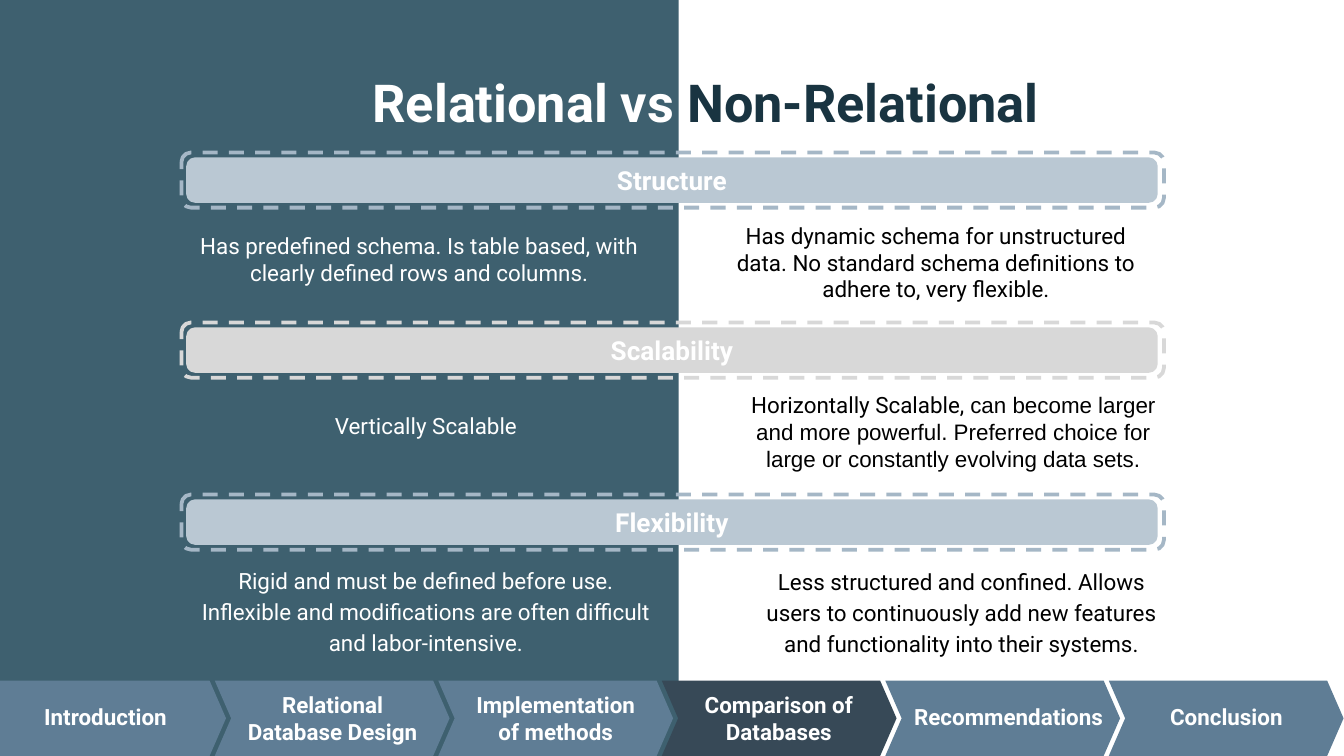
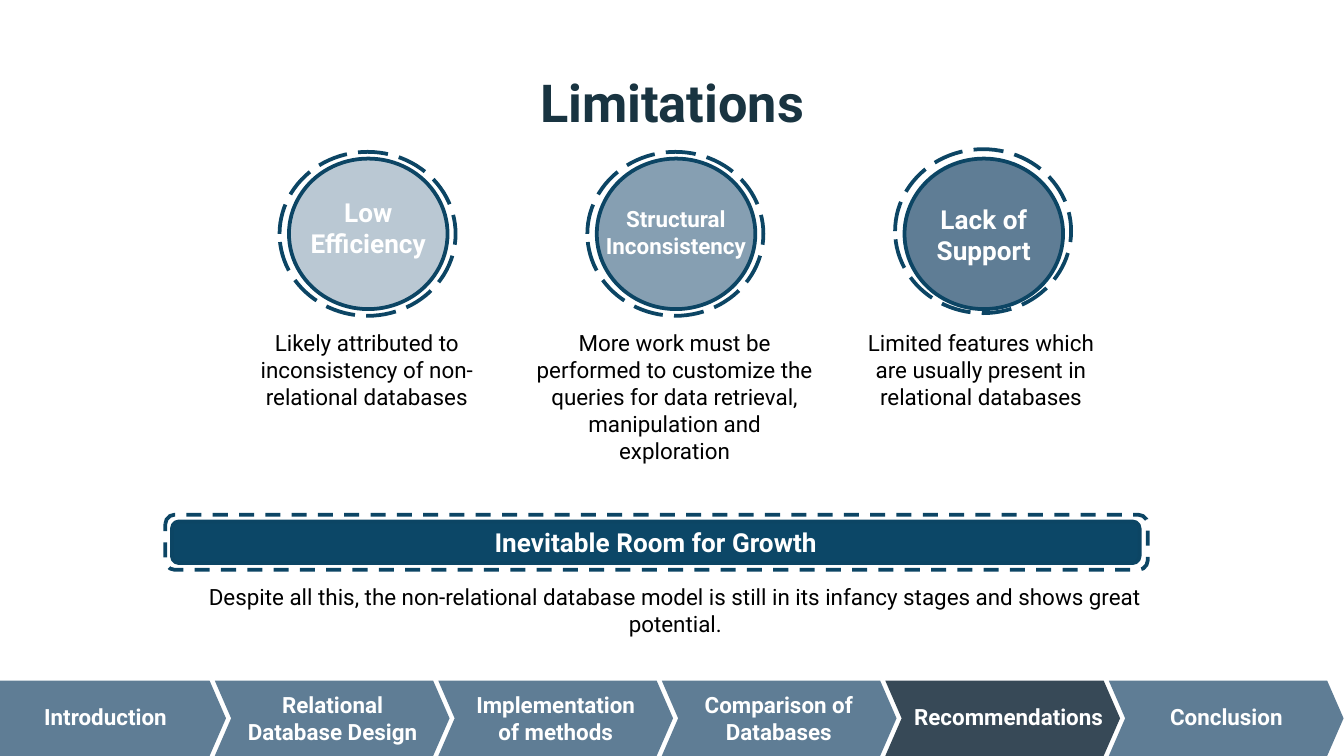
from pptx import Presentation
from pptx.dml.color import RGBColor
from pptx.enum.dml import MSO_LINE
from pptx.enum.shapes import MSO_SHAPE
from pptx.enum.text import MSO_ANCHOR, MSO_AUTO_SIZE, PP_ALIGN
from pptx.util import Inches, Pt

COLORS = {
    "white": "FFFFFF", "black": "000000", "ink": "193441", "panel": "3E606F",
    "step": "5F7D95", "active": "374957", "mist": "BAC8D3", "mist_edge": "A5B7C6",
    "silver": "D8D8D8", "steel": "869FB2", "navy": "0C4767", "navy_edge": "0C4564",
}
COLUMNS, ROWS = 100, 56.25
STEPS = [
    ("Introduction", 0.4, 14.9),
    ("Relational Database Design", 17.3, 14.9),
    ("Implementation of methods", 33.9, 14.9),
    ("Comparison of Databases", 50.5, 14.9),
    ("Recommendations", 66.3, 17.5),
    ("Conclusion", 83.8, 14.9),
]
NARROW, WIDE, EVEN = (0.07, 0.04), (0.1, 0.05), (0.1, 0.1)


class Deck:
    def __init__(self):
        self.deck = Presentation()
        self.deck.slide_width = Inches(10)
        self.deck.slide_height = self.deck.slide_width * 9 // 16
        self.slide = None

    def color(self, name):
        return RGBColor.from_string(COLORS[name])

    def x(self, columns):
        return round(self.deck.slide_width * columns / COLUMNS)

    def y(self, rows):
        return round(self.deck.slide_height * rows / ROWS)

    def box(self, at):
        left, top, width, height = at
        return self.x(left), self.y(top), self.x(width), self.y(height)

    def new_slide(self):
        self.slide = self.deck.slides.add_slide(self.deck.slide_layouts[5])
        self.slide.background.fill.solid()
        self.slide.background.fill.fore_color.rgb = self.color("white")

    def paint(self, shape, fill=None, edge=None, dash=None):
        shape.shadow.inherit = False
        if fill:
            shape.fill.solid()
            shape.fill.fore_color.rgb = self.color(fill)
        else:
            shape.fill.background()
        if edge:
            shape.line.color.rgb = self.color(edge)
            shape.line.width = Pt(2)
            if dash:
                shape.line.dash_style = dash
        else:
            shape.line.fill.background()
        return shape

    def shape(self, kind, at, **look):
        added = self.slide.shapes.add_shape(kind, *self.box(at))
        return self.paint(added, **look)

    def fill_text(self, frame, paragraphs, size, color, bold=False, insets=EVEN,
                  spacing=None, anchor=MSO_ANCHOR.TOP):
        frame.word_wrap = True
        frame.vertical_anchor = anchor
        frame.margin_left = frame.margin_right = Inches(insets[0])
        frame.margin_top = frame.margin_bottom = Inches(insets[1])
        for index, runs in enumerate(paragraphs):
            paragraph = frame.add_paragraph() if index else frame.paragraphs[0]
            paragraph.alignment = PP_ALIGN.CENTER
            if spacing:
                paragraph.line_spacing = spacing
            for words, changes in runs:
                run = paragraph.add_run()
                run.text = words
                run.font.name = changes.get("font", "Roboto")
                run.font.size = Pt(size)
                run.font.bold = bold
                run.font.color.rgb = self.color(changes.get("color", color))

    def text(self, at, paragraphs, size=12, color="black", grow=True, **style):
        frame = self.slide.shapes.add_textbox(*self.box(at)).text_frame
        if isinstance(paragraphs, str):
            paragraphs = [[(line, {})] for line in paragraphs.split("\n")]
        self.fill_text(frame, paragraphs, size, color, **style)
        frame.auto_size = MSO_AUTO_SIZE.SHAPE_TO_FIT_TEXT if grow else MSO_AUTO_SIZE.NONE

    def title(self, left, runs):
        heading = self.slide.shapes.title
        heading.left, heading.top, heading.width, heading.height = self.box(
            (left, 4.2, 82.6, 6.3))
        heading.text_frame.auto_size = MSO_AUTO_SIZE.NONE
        self.fill_text(heading.text_frame, [runs], 28, "ink", bold=True)
        self.slide.shapes.element.append(heading.element)

    def banner(self, left, top, label, fill, edge, frame_edge):
        for bar_at, look in (
            ((left - 0.5, top - 0.5, 73.1, 4.1),
             {"edge": frame_edge, "dash": MSO_LINE.DASH}),
            ((left, top, 72, 3.1), {"fill": fill, "edge": edge}),
        ):
            bar = self.shape(MSO_SHAPE.ROUNDED_RECTANGLE, bar_at, **look)
            bar.adjustments[0] = 0.17
        self.fill_text(bar.text_frame, [[(label, {})]], 14, "white", bold=True,
                       insets=WIDE, anchor=MSO_ANCHOR.MIDDLE)

    def badge(self, left, top, fill):
        self.shape(MSO_SHAPE.OVAL, (left, top, 13.1, 12.2),
                   edge="navy_edge", dash=MSO_LINE.LONG_DASH)
        self.shape(MSO_SHAPE.OVAL, (left + 0.7, 11.8, 11.8, 11.2),
                   fill=fill, edge="navy_edge")

    def chevron(self, index, fill):
        left, top, bottom = 16.63 * index - 0.65, 50.65, ROWS
        middle, shoulder = (top + bottom) / 2, left + 16.25
        if index:
            tail = [(left, top), (left + 1.22, middle), (left, bottom)]
        else:
            tail = [(-1, top), (-1, bottom)]
        head = [(shoulder, bottom), (shoulder + 1.22, middle), (shoulder, top)]
        points = [(self.x(column), self.y(row)) for column, row in tail + head]
        outline = self.slide.shapes.build_freeform(*points[0])
        outline.add_line_segments(points[1:], close=True)
        self.paint(outline.convert_to_shape(), fill=fill)

    def progress(self, current):
        for index, (label, left, width) in enumerate(STEPS):
            self.chevron(index, "active" if label == current else "step")
            top = 50.4 if " " in label else 51.3
            self.text((left, top, width, 4.4), label, color="white", bold=True, grow=False)

    def save(self):
        self.deck.save("out.pptx")


def comparison(deck):
    deck.new_slide()
    deck.shape(MSO_SHAPE.RECTANGLE, (0, 0, 50.5, ROWS), fill="panel")
    deck.progress("Comparison of Databases")
    for top, label, fill, frame_edge in (
        (11.85, "Structure", "mist", "mist_edge"),
        (24.5, "Scalability", "silver", "silver"),
        (37.3, "Flexibility", "mist", "mist_edge"),
    ):
        deck.banner(14, top, label, fill, fill, frame_edge)
    for at, words, spacing in (
        ((13.5, 16.9, 35.4, 4.8),
         "Has predefined schema. Is table based, with clearly defined rows and columns.", None),
        ((14, 30.3, 35.4, 2.8), "Vertically Scalable", None),
        ((14, 41.5, 35.4, 7.4),
         "Rigid and must be defined before use. Inflexible and modifications are often "
         "difficult and labor-intensive.", 1.15),
    ):
        deck.text(at, words, color="white", insets=NARROW, spacing=spacing)
    scaling = [[
        ("Horizontally Scalable, ", {}),
        ("can become larger and more powerful. Preferred choice for large or constantly "
         "evolving data sets.", {"font": "Arial"}),
    ]]
    for at, words, spacing in (
        ((53.3, 16.1, 32.7, 8.8),
         "Has dynamic schema for unstructured data. No standard schema definitions to "
         "adhere to, very flexible.", None),
        ((54.6, 28.7, 32.7, 8.8), scaling, None),
        ((55.2, 41.6, 32.7, 13),
         "Less structured and confined. Allows users to continuously add new features "
         "and functionality into their systems.", 1.15),
    ):
        deck.text(at, words, insets=NARROW, spacing=spacing)
    deck.title(11.2, [("Relational vs", {"color": "white"}), (" Non-Relational", {})])


def limitations(deck):
    deck.new_slide()
    deck.progress("Recommendations")
    deck.title(8.7, [("Limitations", {})])
    for index, (ring_top, fill, label, label_at, size, reason, reason_at) in enumerate((
        (11.3, "mist", "Low\nEfficiency", (21.8, 13.6, 11.2, 6.7), 14,
         "Likely attributed to\ninconsistency of non-relational databases",
         (15.7, 24, 23.2, 7.1)),
        (11.3, "steel", "Structural\nInconsistency", (44, 14.3, 12.6, 6.1), 12,
         "More work must be performed to customize the queries for data retrieval, "
         "manipulation and exploration", (38.6, 24, 23.2, 11.1)),
        (11.1, "step", "Lack of Support", (67.6, 14.1, 11.2, 6.7), 14,
         "Limited features which are usually present in relational databases",
         (62.8, 24, 20.4, 7.1)),
    )):
        deck.badge(20.8 + 22.9 * index, ring_top, fill)
        deck.text(label_at, label, size=size, color="white", bold=True)
        deck.text(reason_at, reason, insets=WIDE)
    deck.banner(12.8, 38.8, "Inevitable Room for Growth", "navy", "navy_edge", "navy_edge")
    deck.text((12.8, 42.9, 74.9, 5),
              "Despite all this, the non-relational database model is still in its infancy "
              "stages and shows great potential.", insets=WIDE)


def main():
    deck = Deck()
    comparison(deck)
    limitations(deck)
    deck.save()


if __name__ == "__main__":
    main()
